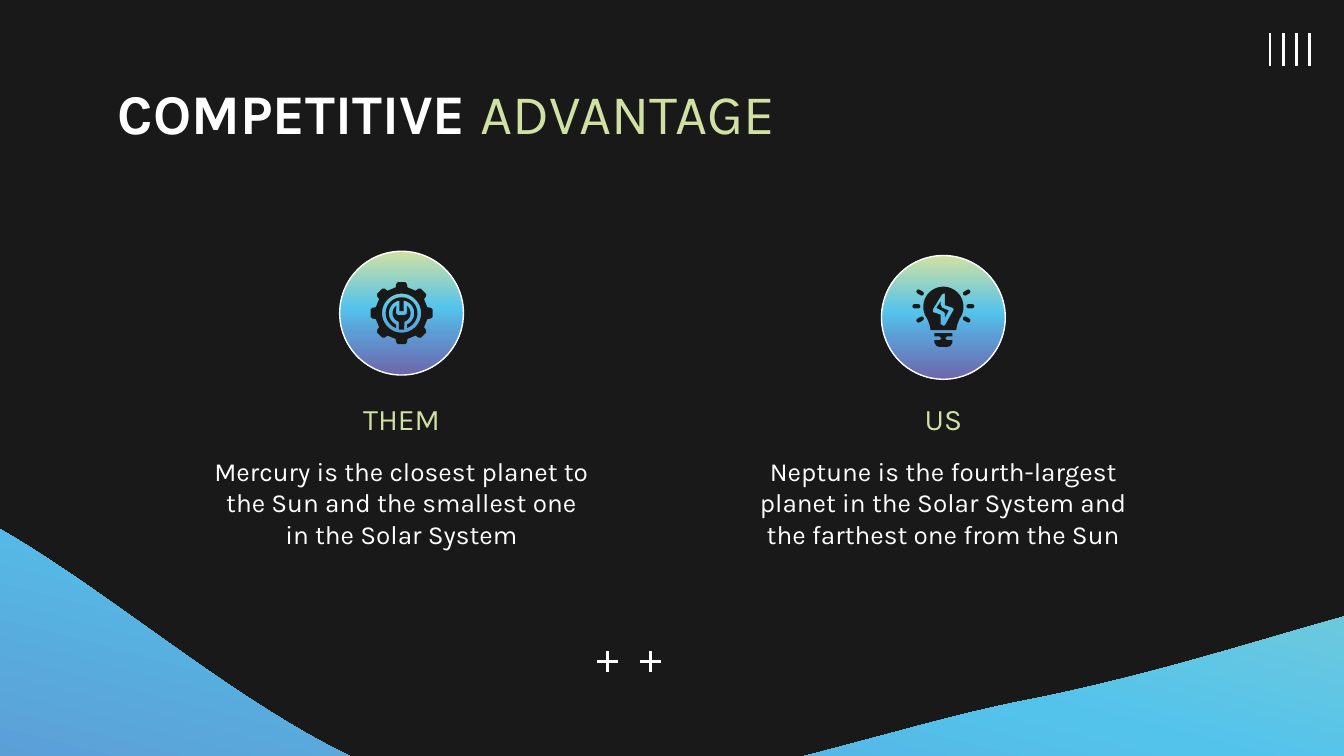
from dataclasses import dataclass
from math import cos, radians, sin

from lxml import etree
from pptx import Presentation
from pptx.dml.color import RGBColor
from pptx.enum.shapes import MSO_CONNECTOR, MSO_SHAPE
from pptx.enum.text import MSO_ANCHOR, PP_ALIGN
from pptx.oxml.ns import qn
from pptx.shapes.base import BaseShape
from pptx.slide import Slide
from pptx.util import Cm, Pt

LINE = MSO_CONNECTOR.STRAIGHT
OVAL, PILL = MSO_SHAPE.OVAL, MSO_SHAPE.ROUNDED_RECTANGLE
TOP, MIDDLE = MSO_ANCHOR.TOP, MSO_ANCHOR.MIDDLE
LEFT, CENTER = PP_ALIGN.LEFT, PP_ALIGN.CENTER

Point = tuple[float, float]
Path = list[Point]


@dataclass(frozen=True)
class Theme:
    font: str = "Karla"
    dark: str = "191919"
    white: str = "FFFFFF"
    lime: str = "D0E1A3"
    blend: tuple = ((0, "D0E1A3"), (46, "53C3EC"), (66, "5C9CD5"), (100, "6E66AB"))
    title: int = 30
    label: int = 16
    body: int = 14
    stroke: float = 1.5
    rim: float = 0.75


@dataclass(frozen=True)
class Side:
    mid: Point
    label: str
    body: str


THEME = Theme()
SIDES = (
    Side((7.59, 5.92), "THEM",
         "Mercury is the closest planet to the Sun and the smallest one in the Solar System"),
    Side((17.83, 6.0), "US",
         "Neptune is the fourth-largest planet in the Solar System and the farthest one from the Sun"),
)
DISC = 2.34
TILT = 14.5
PIVOT = (11.24, 12.48)
WAVE_START = (-9.45, 13.11)
WAVE = (  # two control points and an end point for each curve
    ((-10.13, 12.12), (-5.31, 8.81), (-2.34, 9.12)),
    ((0.64, 9.42), (4.78, 14.22), (8.38, 14.91)),
    ((11.99, 15.6), (16.21, 13.87), (19.28, 13.26)),
    ((22.33, 12.67), (24.99, 11.68), (26.72, 11.33)),
    ((28.45, 10.97), (29.11, 10.82), (29.67, 11.1)),
    ((30.25, 11.35), (30.45, 11.15), (30.18, 12.93)),
    ((29.9, 14.73), (31.55, 21.11), (27.97, 21.84)),
    ((24.38, 22.58), (13.03, 18.49), (8.66, 17.37)),
    ((4.32, 16.26), (4.85, 15.8), (1.83, 15.09)),
    ((-1.19, 14.38), (-8.74, 14.1), WAVE_START),
)
BOLT_HOLE = [(0.02, -0.46), (0.03, -0.42), (0.03, -0.23), (0.18, -0.18), (0.2, -0.14),
             (0.18, -0.12), (0.03, 0.15), (0, 0.16), (-0.05, 0.13), (-0.05, -0.05),
             (-0.2, -0.1), (-0.2, -0.15), (-0.03, -0.43)]
BOLT = [(-0.05, -0.3), (-0.13, -0.18), (0, -0.11), (0.03, -0.08), (0.03, 0),
        (0.1, -0.13), (-0.02, -0.18), (-0.05, -0.23)]
BASE_HALF = [(0.17, 0.3), (0.17, 0.36), (0.07, 0.36), (0.03, 0.4), (0.07, 0.43),
             (0.17, 0.43), (0.17, 0.48), (0.13, 0.54), (0.07, 0.56)]


def arc(r: float, start: float, end: float, y: float = 0) -> Path:
    """Points on a circle around (0, y), angles clockwise from the right."""
    count = 36
    turns = [radians(start + (end - start) * i / count) for i in range(count + 1)]
    return [(r * cos(t), y + r * sin(t)) for t in turns]


def spin(point: Point, hub: Point, angle: float) -> Point:
    x, y, t = point[0] - hub[0], point[1] - hub[1], radians(angle)
    return hub[0] + x * cos(t) - y * sin(t), hub[1] + x * sin(t) + y * cos(t)


def trace_wave() -> Path:
    points, last, count = [WAVE_START], WAVE_START, 30
    for curve in WAVE:
        knots = (last, *curve)
        for i in range(1, count + 1):
            t = i / count
            parts = ((1 - t) ** 3, 3 * t * (1 - t) ** 2, 3 * t * t * (1 - t), t ** 3)
            points.append(tuple(sum(w * k[axis] for w, k in zip(parts, knots))
                                for axis in (0, 1)))
        last = curve[-1]
    return points


def paint(shape: BaseShape, color: str = "", rim: float = 0) -> None:
    """Fill with one colour, or with the theme blend if none is given."""
    shape.shadow.inherit = False
    if color:
        shape.fill.solid()
        shape.fill.fore_color.rgb = RGBColor.from_string(color)
    else:
        shape.fill.gradient()
        shape.fill.gradient_angle = 270
        stops = shape._element.spPr.find(qn("a:gradFill")).find(qn("a:gsLst"))
        stops.clear()
        for place, tone in THEME.blend:
            stop = etree.SubElement(stops, qn("a:gs"), pos=str(place * 1000))
            etree.SubElement(stop, qn("a:srgbClr"), val=tone)
    if rim:
        shape.line.color.rgb = RGBColor.from_string(THEME.white)
        shape.line.width = Pt(rim)
    else:
        shape.line.fill.background()


def carve(slide: Slide, *paths: Path, mid: Point = (0, 0)) -> BaseShape:
    """Build one outline; any path after the first is a hole."""
    pen = None
    for path in paths:
        points = [(Cm(mid[0] + x), Cm(mid[1] + y)) for x, y in path]
        if pen is None:
            pen = slide.shapes.build_freeform(*points[0], scale=1.0)
        else:
            pen.move_to(*points[0])
        pen.add_line_segments(points[1:], close=True)
    return pen.convert_to_shape()


def stroke(slide: Slide, x1: float, y1: float, x2: float, y2: float) -> None:
    line = slide.shapes.add_connector(LINE, Cm(x1), Cm(y1), Cm(x2), Cm(y2))
    line.line.color.rgb = RGBColor.from_string(THEME.white)
    line.line.width = Pt(THEME.stroke)
    etree.SubElement(line._element.spPr, qn("a:effectLst"))


def write(slide: Slide, box: tuple, *runs: tuple[str, str, bool], size: int,
          align: PP_ALIGN = CENTER, anchor: MSO_ANCHOR = TOP) -> None:
    """Write runs of (text, colour, bold) in a box of left, top, width, height."""
    frame = slide.shapes.add_textbox(*map(Cm, box)).text_frame
    frame.word_wrap = True
    frame.vertical_anchor = anchor
    frame.margin_left = frame.margin_right = Cm(0.25)
    frame.margin_top = frame.margin_bottom = Cm(0.25)
    line = frame.paragraphs[0]
    line.alignment = align
    for text, color, bold in runs:
        run = line.add_run()
        run.text = text
        run.font.name = THEME.font
        run.font.size = Pt(size)
        run.font.bold = bold
        run.font.color.rgb = RGBColor.from_string(color)


def draw_gear(slide: Slide, mid: Point) -> None:
    tooth = ((0.5, -13), (0.56, -10.5), (0.59, -7), (0.59, 7), (0.56, 10.5), (0.5, 13))
    rim = [(r * cos(radians(a + turn)), r * sin(radians(a + turn)))
           for turn in range(0, 360, 45) for r, a in tooth]
    ring = (arc(0.3, 110, 430) + arc(0.24, 64, -80)
            + [(0.04, -0.04), (-0.04, -0.04)] + arc(0.24, -100, -244))
    wrench = (arc(0.17, 234, 108) + [(-0.05, 0.31), (0.05, 0.31)] + arc(0.17, 72, -54)
              + [(0.1, 0.01), (0.06, 0.04), (-0.06, 0.04), (-0.1, 0.01)])
    for paths in ((wrench,), (ring,), (rim, arc(0.37, 0, 360))):
        paint(carve(slide, *paths, mid=mid), THEME.dark)


def draw_bulb(slide: Slide, mid: Point) -> None:
    wide, high = 0.15, 0.08
    for side in (-1, 1):
        for x, y, tilt in ((0.51, -0.21, 0), (0.44, -0.47, -30), (0.44, 0.04, 30)):
            ray = slide.shapes.add_shape(
                PILL, Cm(mid[0] + side * x - wide / 2), Cm(mid[1] + y - high / 2),
                Cm(wide), Cm(high))
            ray.adjustments[0] = 0.5
            ray.rotation = side * tilt
            paint(ray, THEME.dark)
    glass = [(-0.24, 0.24), (-0.26, 0.14), *arc(0.38, 143, 397, -0.2),
             (0.26, 0.14), (0.24, 0.24)]
    base = BASE_HALF + [(-x, y) for x, y in reversed(BASE_HALF)]
    for paths in ((glass, BOLT_HOLE), (BOLT,), (base,)):
        paint(carve(slide, *paths, mid=mid), THEME.dark)


def draw_side(slide: Slide, side: Side) -> None:
    x, y = side.mid
    write(slide, (x - 3.81, 8.36, 7.62, 2.31), (side.body, THEME.white, False), size=THEME.body)
    write(slide, (x - 1.9, 7.32, 3.8, 1.19), (side.label, THEME.lime, False),
          size=THEME.label, anchor=MIDDLE)
    disc = slide.shapes.add_shape(OVAL, Cm(x - DISC / 2), Cm(y - DISC / 2), Cm(DISC), Cm(DISC))
    paint(disc, rim=THEME.rim)


def main() -> None:
    deck = Presentation()
    deck.slide_width, deck.slide_height = Cm(25.4), Cm(14.29)
    slide = deck.slides.add_slide(deck.slide_layouts[6])
    slide.background.fill.solid()
    slide.background.fill.fore_color.rgb = RGBColor.from_string(THEME.dark)

    wave = carve(slide, [spin(point, PIVOT, -TILT) for point in trace_wave()])
    wave.rotation = TILT
    paint(wave)
    arm = 0.2
    for x, y in ((11.48, 12.5), (12.29, 12.5)):
        stroke(slide, x - arm, y, x + arm, y)
        stroke(slide, x, y - arm, x, y + arm)
    for i in range(4):
        x = 24 + 0.25 * i
        stroke(slide, x, 0.63, x, 1.25)

    write(slide, (1.98, 1.24, 20.32, 1.8), ("COMPETITIVE ", THEME.white, True),
          ("ADVANTAGE", THEME.lime, False), size=THEME.title, align=LEFT)
    for side, draw in zip(SIDES, (draw_gear, draw_bulb)):
        draw_side(slide, side)
        draw(slide, side.mid)
    deck.save("out.pptx")


if __name__ == "__main__":
    main()
